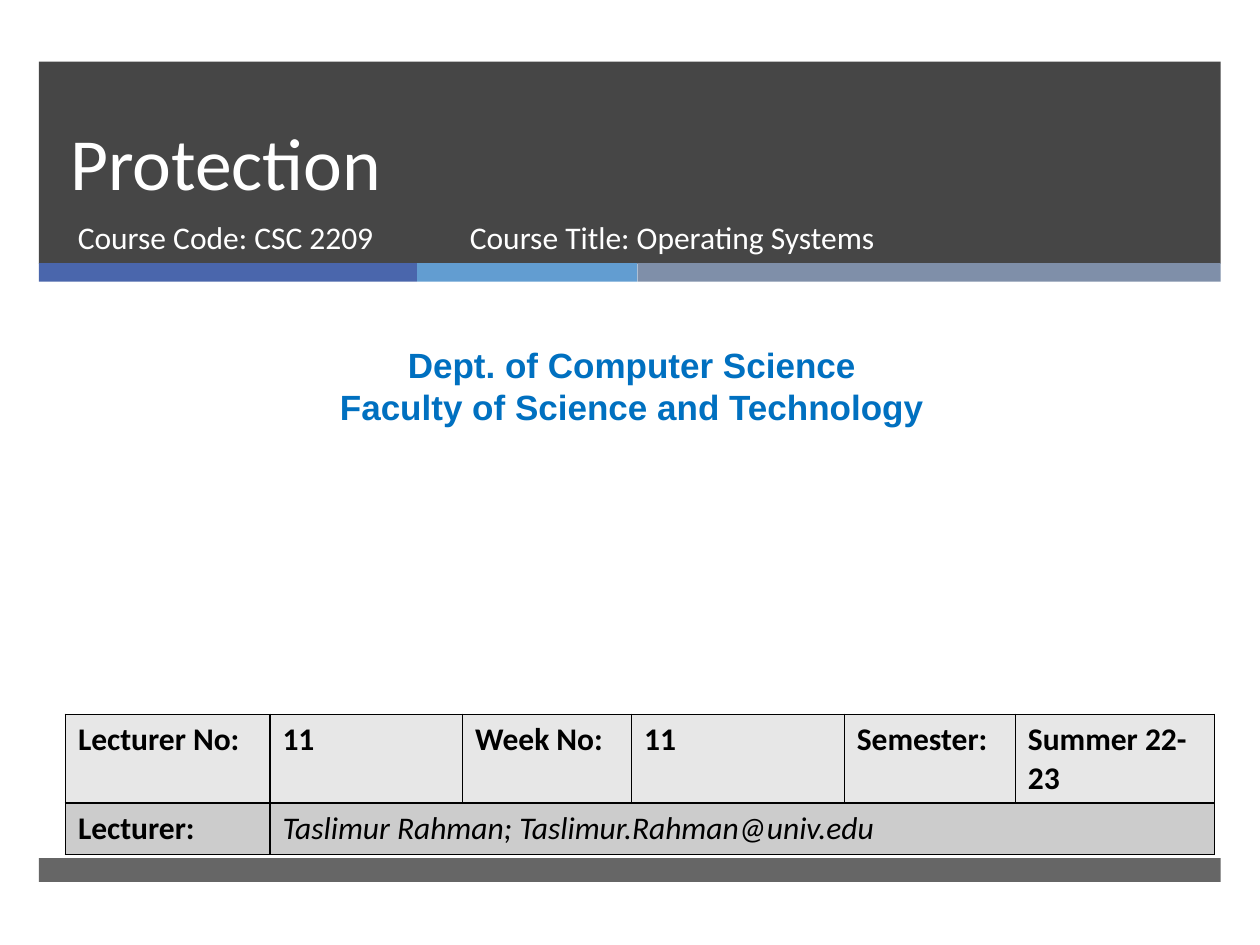
"""Builds the opening slide of a lecture on protection."""
import pptx
import pptx.dml.color
import pptx.enum.shapes
import pptx.enum.text
import pptx.oxml
import pptx.oxml.ns
import pptx.util

Pt = pptx.util.Pt
ALIGN = pptx.enum.text.PP_ALIGN
ANCHOR = pptx.enum.text.MSO_ANCHOR
NAMESPACE = pptx.oxml.ns.nsdecls("a")


def color(value):
    """Return the colour for a hex string."""
    return pptx.dml.color.RGBColor.from_string(value)


class SlideBuilder:
    """Holds the text style and the current slide."""

    style = {"name": "Calibri", "size": Pt(18), "bold": False, "italic": False}

    def __init__(self, slide):
        """Keep the slide to draw on."""
        self.slide = slide

    def bar(self, left, top, width, height, fill, opacity=100):
        """Add a plain filled rectangle."""
        shape = self.slide.shapes.add_shape(
            pptx.enum.shapes.MSO_SHAPE.RECTANGLE,
            Pt(left), Pt(top), Pt(width), Pt(height))
        shape.shadow.inherit = False
        shape.line.fill.background()
        shape.fill.solid()
        shape.fill.fore_color.rgb = color(fill)
        if opacity < 100:
            tone = shape.element.spPr.find(".//" + pptx.oxml.ns.qn("a:srgbClr"))
            tone.append(pptx.oxml.parse_xml(
                f'<a:alpha {NAMESPACE} val="{opacity * 1000}"/>'))

    def span(self, para, text, tone, **changes):
        """Add a formatted span to a paragraph."""
        span = para.add_run()
        span.text = text
        for key, value in {**self.style, **changes}.items():
            setattr(span.font, key, value)
        span.font.color.rgb = color(tone)

    def text(self, left, top, width, height, lines, tone,
             anchor=ANCHOR.TOP, layout=None, **changes):
        """Add a text box with one paragraph for each line."""
        box = self.slide.shapes.add_textbox(Pt(left), Pt(top), Pt(width), Pt(height))
        frame = box.text_frame
        frame.word_wrap = True
        frame.vertical_anchor = anchor
        for index, line in enumerate(lines):
            para = frame.add_paragraph() if index else frame.paragraphs[0]
            for key, value in (layout or {}).items():
                setattr(para, key, value)
            self.span(para, line, tone, **changes)

    def cell(self, cell, fill):
        """Fill a table cell and give it thin black borders."""
        properties = cell._tc.get_or_add_tcPr()
        for side in ("lnL", "lnR", "lnT", "lnB"):
            properties.append(pptx.oxml.parse_xml(
                f'<a:{side} {NAMESPACE} w="12700"><a:solidFill>'
                f'<a:srgbClr val="000000"/></a:solidFill></a:{side}>'))
        cell.fill.solid()
        cell.fill.fore_color.rgb = color(fill)

    def table(self, left, top, widths, heights, rows, fills):
        """Add a table whose short rows merge into their last entry."""
        table = self.slide.shapes.add_table(
            len(heights), len(widths), Pt(left), Pt(top),
            Pt(sum(widths)), Pt(sum(heights))).table
        for column, width in zip(table.columns, widths):
            column.width = Pt(width)
        for index, (height, entries) in enumerate(zip(heights, rows)):
            table.rows[index].height = Pt(height)
            for position in range(len(widths)):
                self.cell(table.cell(index, position), fills[index])
            for position, (text, changes) in enumerate(entries):
                para = table.cell(index, position).text_frame.paragraphs[0]
                self.span(para, text, "000000", **changes)
            if len(entries) < len(widths):
                table.cell(index, len(entries) - 1).merge(
                    table.cell(index, len(widths) - 1))


deck = pptx.Presentation()
deck.slide_width, deck.slide_height = Pt(720), Pt(540)
page = SlideBuilder(deck.slides.add_slide(deck.slide_layouts[6]))

MARGIN = 22.3
page.bar(MARGIN, 35.2, 675.2, 115.4, "262626", 85)
stripe_left = MARGIN
for stripe_width, stripe_fill in ((216, "4A66AC"), (126, "629DD1"), (333.2, "7F8FA9")):
    page.bar(stripe_left, 150.3, stripe_width, 10.7, stripe_fill)
    stripe_left += stripe_width
page.bar(MARGIN, 490.3, 675.2, 13.7, "262626", 70)

page.text(33.1, 35.2, 615, 85.8, ["Protection"], "FFFFFF", ANCHOR.BOTTOM,
          {"line_spacing": Pt(46)}, size=Pt(42))
page.text(37.4, 121, 219.6, 38, ["Course Code: CSC 2209"], "FFFFFF")
page.text(261.4, 121.3, 327.6, 38, ["Course Title: Operating Systems"], "FFFFFF")
page.text(5.8, 193, 710.6, 55.4,
          ["Dept. of Computer Science", "Faculty of Science and Technology"],
          "0070C0", layout={"alignment": ALIGN.CENTER},
          name="Arial", size=Pt(20), bold=True)

BOLD, ITALIC = {"bold": True}, {"italic": True}
headings = ["Lecturer No:", "11", "Week No:", "11", "Semester:", "Summer 22-23"]
page.table(37.4, 408.2, [116.9, 110.1, 96.5, 121.6, 97.8, 113.7], [50.6, 29.5],
           [[(heading, BOLD) for heading in headings],
            [("Lecturer:", BOLD),
             ("Taslimur Rahman; Taslimur.Rahman@univ.edu", ITALIC)]],
           ["E7E7E7", "CCCCCC"])

deck.save("out.pptx")
